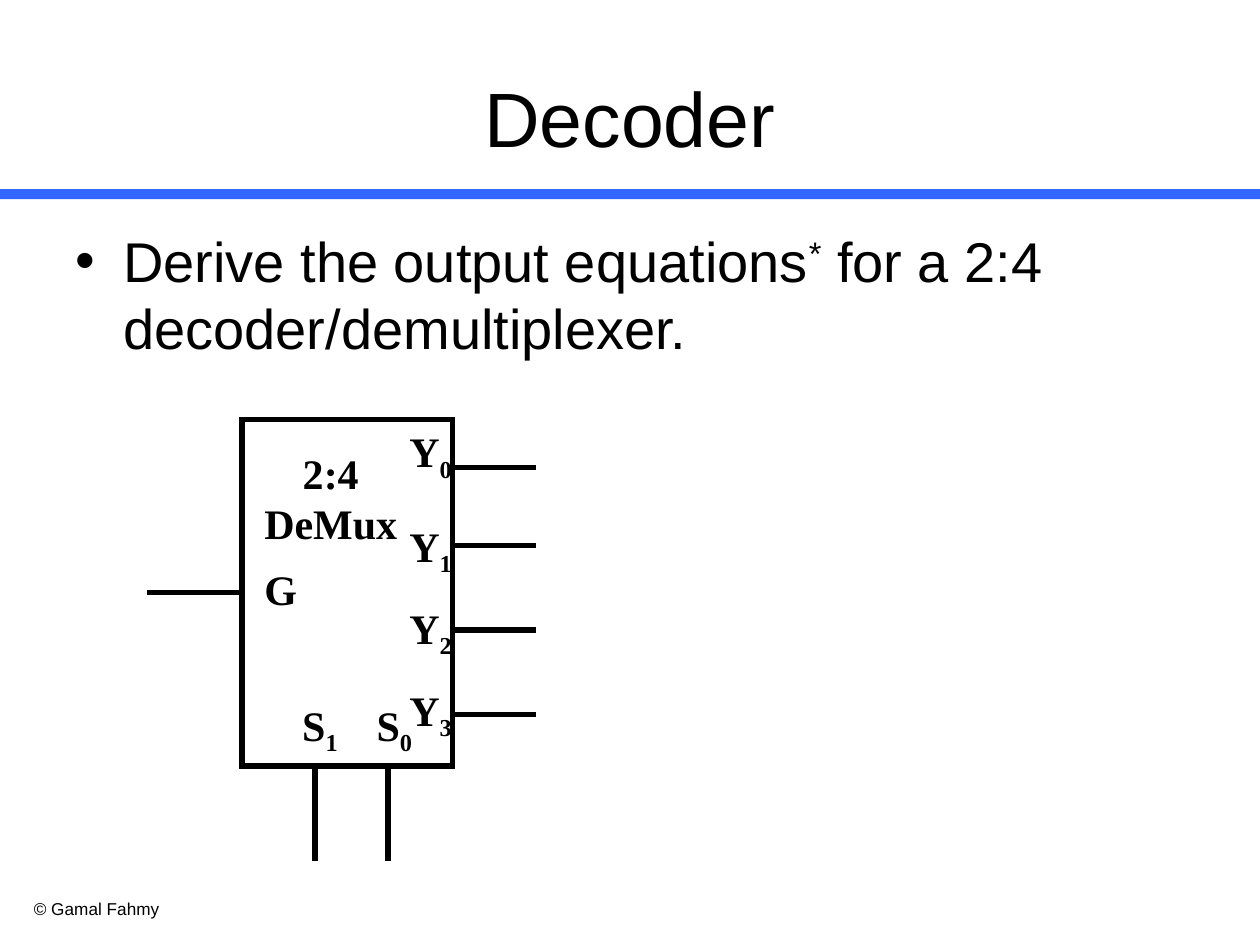
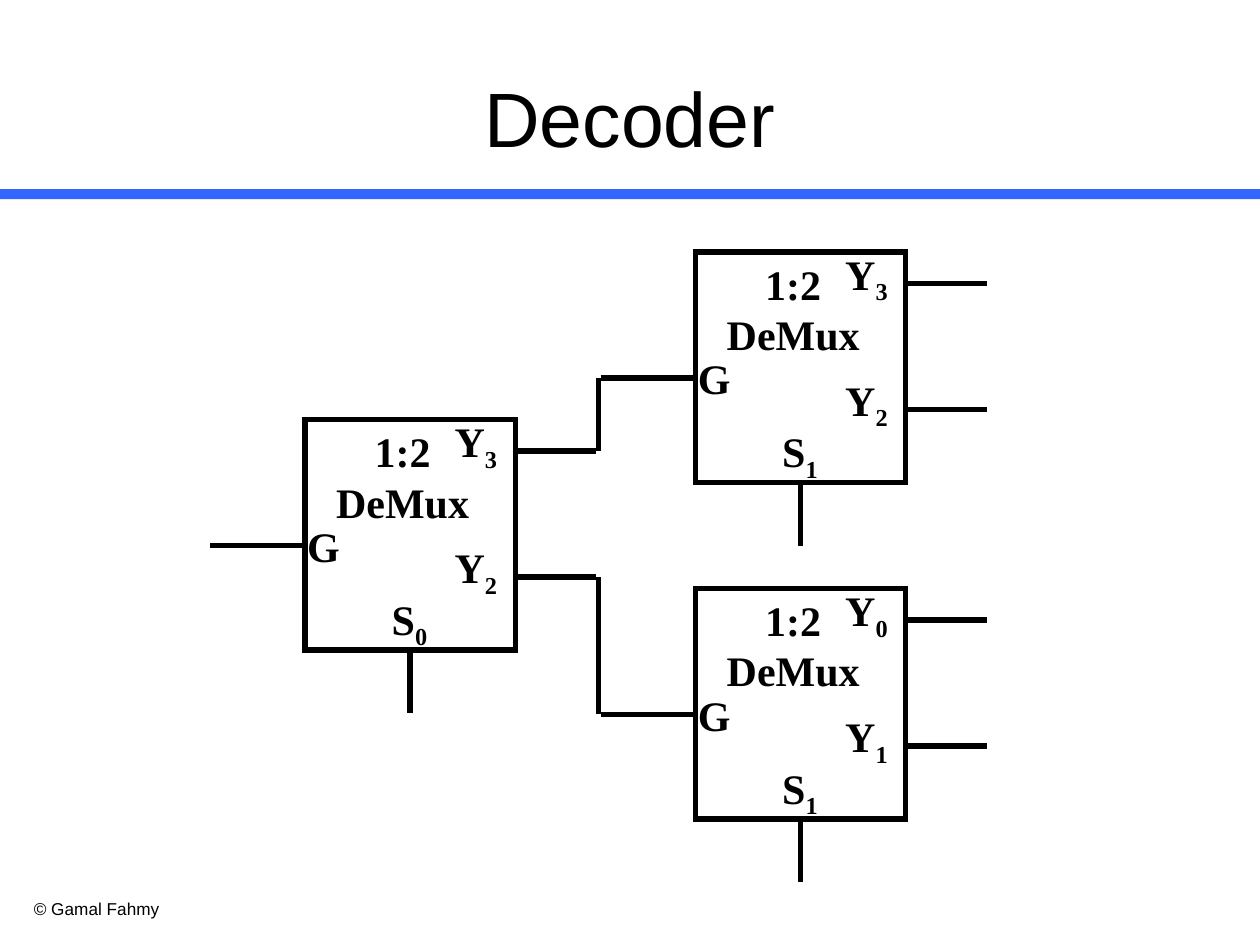
"""Builds two slides on decoders made from demultiplexers."""
from lxml import etree
from pptx import Presentation
from pptx import util as u
from pptx.dml.color import RGBColor
from pptx.enum import shapes, text
from pptx.oxml.ns import qn

BLACK, WHITE, BLUE = "000000", "FFFFFF", "3366FF"
LEFT, CENTER = text.PP_ALIGN.LEFT, text.PP_ALIGN.CENTER
TITLE = "Decoder"
FOOTER = "© Gamal Fahmy"
QUESTION = [("Derive the output equations", 0), ("*", 30),
            (" for a 2:4 decoder/demultiplexer.", 0)]
TITLE_FONT = {"name": "Arial", "size": u.Pt(44)}
BODY_FONT = {"name": "Arial", "size": u.Pt(32)}
FOOTER_FONT = {"name": "Arial", "size": u.Pt(9.8)}
PIN_FONT = {"name": "Times New Roman", "size": u.Pt(24), "bold": True}
LABEL_SIZES = {"G": (0.46, 0.5), "S": (0.48, 0.56), "Y": (0.54, 0.56)}
CAPTION_SIZE = (1.35, 0.9)
BOX_WIDTH = 1.67
INPUT_LENGTH = 0.75

LARGE = {
    "height": 2.75, "caption": ("2:4", "DeMux"), "caption_at": (0.03, 0.17),
    "input": 2.75 / 2, "input_label": (0.08, 1.09),
    "outputs": (0.38, 1, 1.67, 2.34), "output_wire": (1.66, 2.33),
    "output_labels": [(1.23, top) for top in (0, 0.75, 1.4, 2.05)],
    "selects": (0.58, 1.16), "select_length": 0.75,
    "select_labels": [(0.38, 2.17), (0.97, 2.17)],
}
SMALL = {
    "height": 1.83, "caption": ("1:2", "DeMux"), "caption_at": (0.1, 0),
    "input": 1, "input_label": (-0.08, 0.75),
    "outputs": (0.25, 1.25), "output_wire": (1.65, 2.31),
    "output_labels": [(1.09, -0.08), (1.09, 0.92)],
    "selects": (BOX_WIDTH / 2,), "select_length": 0.5,
    "select_labels": [(0.59, 1.33)],
}
SLIDES = [
    {"question": QUESTION, "links": [],
     "demuxes": [(LARGE, 1.92, 3.33, ("Y0", "Y1", "Y2", "Y3"), ("S1", "S0"))]},
    {"question": None,
     "links": [(4.75, 3, 4.75, 3.58), (4.75, 5.67, 4.75, 4.58)],
     "demuxes": [(SMALL, 5.52, 2, ("Y3", "Y2"), ("S1",)),
                 (SMALL, 5.52, 4.67, ("Y0", "Y1"), ("S1",)),
                 (SMALL, 2.42, 3.33, ("Y3", "Y2"), ("S0",))]},
]


def color(value):
    return RGBColor.from_string(value)


def inches(values):
    return [u.Inches(value) for value in values]


def apply(target, values):
    for name, value in values.items():
        setattr(target, name, value)


def add_text(slide, place, paragraphs, font, align=LEFT, wrap=True, **frame_format):
    frame = slide.shapes.add_textbox(*inches(place)).text_frame
    apply(frame, {"word_wrap": wrap, **frame_format})
    for index, runs in enumerate(paragraphs):
        paragraph = frame.add_paragraph() if index else frame.paragraphs[0]
        paragraph.alignment = align
        for words, baseline in runs:
            run = paragraph.add_run()
            run.text = words
            apply(run.font, font)
            run.font.color.rgb = color(BLACK)
            if baseline:
                run.font._element.set("baseline", str(baseline * 1000))
    return frame


def add_box(slide, place, fill, line=None):
    box = slide.shapes.add_shape(shapes.MSO_SHAPE.RECTANGLE, *inches(place))
    box.shadow.inherit = False
    box.fill.solid()
    box.fill.fore_color.rgb = color(fill)
    if line:
        box.line.color.rgb = color(line)
        box.line.width = u.Pt(3)
        etree.SubElement(box._element.spPr.find(qn("a:ln")), qn("a:miter"), lim="800000")
    else:
        box.line.fill.background()
    return box


def add_wire(slide, *ends):
    wire = slide.shapes.add_connector(shapes.MSO_CONNECTOR.STRAIGHT, *inches(ends))
    wire.line.color.rgb = color(BLACK)
    wire.line.width = u.Pt(3)
    etree.SubElement(wire._element.spPr, qn("a:effectLst"))
    return wire


def add_pin_label(slide, left, top, name):
    runs = [(name[0], 0)] + [(digit, -25) for digit in name[1:]]
    add_text(slide, (left, top, *LABEL_SIZES[name[0]]), [runs], PIN_FONT, wrap=False,
             auto_size=text.MSO_AUTO_SIZE.SHAPE_TO_FIT_TEXT)


def add_demux(slide, kind, left, top, outputs, selects):
    height = kind["height"]
    bottom = top + height
    box = add_box(slide, (left, top, BOX_WIDTH, height), WHITE, BLACK)
    start, end = kind["output_wire"]
    for offset in kind["outputs"]:
        add_wire(slide, left + start, top + offset, left + end, top + offset)
    input_y = top + kind["input"]
    input_wire = add_wire(slide, left - INPUT_LENGTH, input_y, left, input_y)
    if kind["input"] == height / 2:
        input_wire.end_connect(box, 1)
    for offset in kind["selects"]:
        x = left + offset
        wire = add_wire(slide, x, bottom, x, bottom + kind["select_length"])
        if offset == BOX_WIDTH / 2:
            wire.begin_connect(box, 2)
    names = ("G", *outputs, *selects)
    places = [kind["input_label"], *kind["output_labels"], *kind["select_labels"]]
    for name, (x, y) in zip(names, places):
        add_pin_label(slide, left + x, top + y, name)
    x, y = kind["caption_at"]
    add_text(slide, (left + x, top + y, *CAPTION_SIZE),
             [[(line, 0)] for line in kind["caption"]], PIN_FONT, CENTER)


def add_question(slide, runs):
    frame = add_text(slide, (0.5, 1.75, 8.5, 1.25), [runs], BODY_FONT)
    paragraph = frame.paragraphs[0]
    paragraph.space_before = u.Pt(8)
    properties = paragraph._p.get_or_add_pPr()
    indent = u.Inches(0.38)
    properties.set("marL", str(indent))
    properties.set("indent", str(-indent))
    etree.SubElement(properties, qn("a:buFont"), typeface="Arial")
    etree.SubElement(properties, qn("a:buChar"), char="•")


def add_frame(slide):
    add_box(slide, (0, 1.5, 10, 0.08), BLUE)
    add_text(slide, (0.17, 7.08, 2.17, 0.27), [[(FOOTER, 0)]], FOOTER_FONT)
    add_text(slide, (0.5, 0.3, 9, 1.25), [[(TITLE, 0)]], TITLE_FONT, CENTER,
             vertical_anchor=text.MSO_ANCHOR.MIDDLE)


def main():
    presentation = Presentation()
    presentation.slide_width, presentation.slide_height = inches((10, 7.5))
    for content in SLIDES:
        slide = presentation.slides.add_slide(presentation.slide_layouts[6])
        add_frame(slide)
        if content["question"]:
            add_question(slide, content["question"])
        for demux in content["demuxes"]:
            add_demux(slide, *demux)
        for link in content["links"]:
            add_wire(slide, *link)
    presentation.save("out.pptx")


if __name__ == "__main__":
    main()
